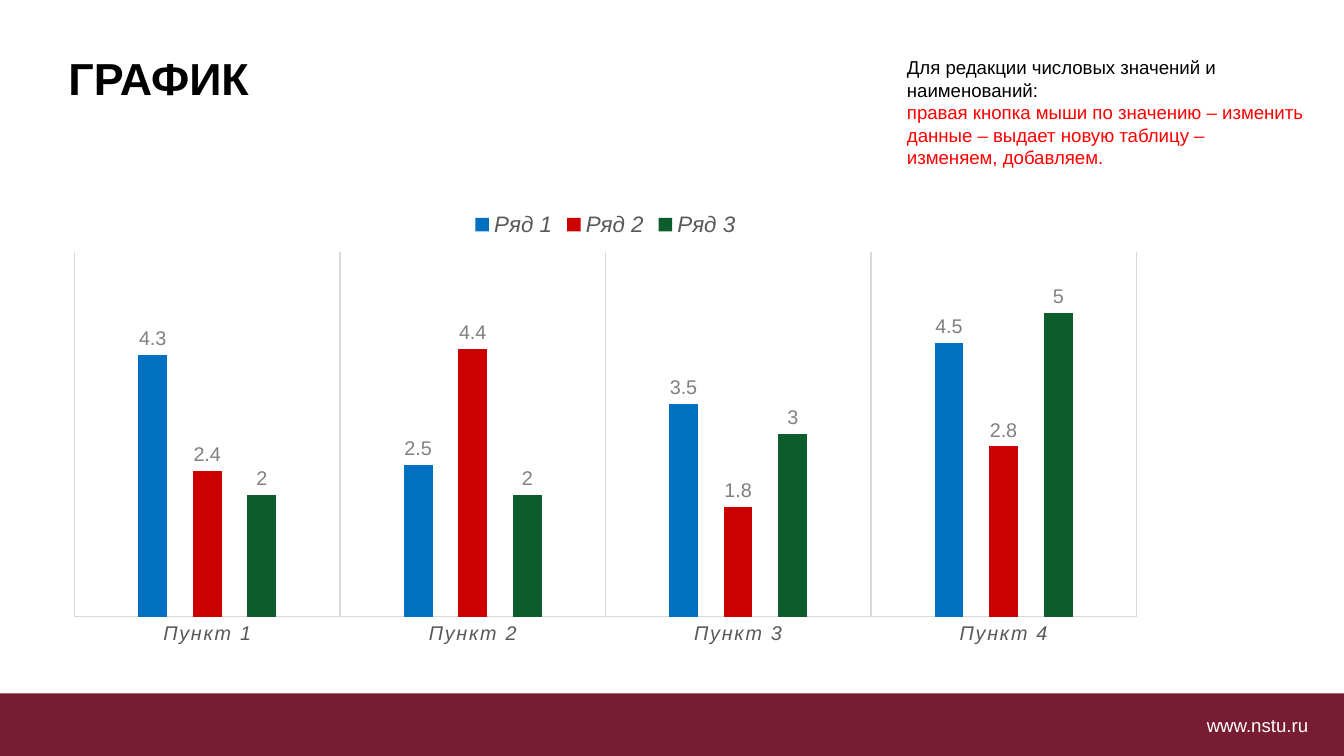
import pptx
import pptx.util
import pptx.dml.color
import pptx.chart.data
import pptx.enum.chart
import pptx.enum.shapes
import pptx.enum.text
import pptx.oxml
import pptx.oxml.ns

Inches = pptx.util.Inches
Pt = pptx.util.Pt
enum = pptx.enum.chart
qn = pptx.oxml.ns.qn

COLORS = {
    "wine": "781C33", "white": "FFFFFF", "black": "000000", "alert": "FF0000",
    "blue": "0070C0", "red": "CC0000", "green": "0C5C2C",
    "text": "595959", "value": "808080", "grid": "D9D9D9",
}


class Deck:
    face = "Arial"

    def __init__(self, width, height):
        self.show = pptx.Presentation()
        self.show.slide_width = Inches(width)
        self.show.slide_height = Inches(height)
        self.slide = self.show.slides.add_slide(self.show.slide_layouts[6])

    def color(self, name):
        return pptx.dml.color.RGBColor.from_string(COLORS[name])

    def font(self, font, size, color, bold=False, italic=False):
        font.name = self.face
        font.size = Pt(size)
        font.bold = bold
        font.italic = italic
        font.color.rgb = self.color(color)

    def fill(self, form, color):
        form.fill.solid()
        form.fill.fore_color.rgb = self.color(color)

    def line(self, line):
        line.color.rgb = self.color("grid")
        line.width = Pt(0.75)

    def band(self, box, color):
        shape = self.slide.shapes.add_shape(
            pptx.enum.shapes.MSO_SHAPE.RECTANGLE, *map(Inches, box))
        shape.shadow.inherit = False
        self.fill(shape, color)
        shape.line.fill.background()

    def text(self, box, parts, size, bold=False, inset=True, wrap=True):
        frame = self.slide.shapes.add_textbox(*map(Inches, box)).text_frame
        frame.word_wrap = wrap
        frame.auto_size = pptx.enum.text.MSO_AUTO_SIZE.NONE
        if not inset:
            frame.margin_left = frame.margin_right = 0
            frame.margin_top = frame.margin_bottom = 0
        for i, (words, color) in enumerate(parts):
            para = frame.add_paragraph() if i else frame.paragraphs[0]
            run = para.add_run()
            run.text = words
            self.font(run.font, size, color, bold)

    def chart(self, box, cats, rows, area):
        data = pptx.chart.data.CategoryChartData()
        data.categories = cats
        for name, values, _ in rows:
            data.add_series(name, values)
        chart = self.slide.shapes.add_chart(
            enum.XL_CHART_TYPE.COLUMN_CLUSTERED, *map(Inches, box), data).chart
        self.font(chart.font, 10, "black")
        chart.has_title = False
        chart.has_legend = True
        chart.legend.position = enum.XL_LEGEND_POSITION.TOP
        chart.legend.include_in_layout = False
        self.font(chart.legend.font, 12, "text", italic=True)

        axis = chart.category_axis
        axis.major_tick_mark = enum.XL_TICK_MARK.NONE
        axis.has_major_gridlines = True
        self.line(axis.format.line)
        self.line(axis.major_gridlines.format.line)
        self.font(axis.tick_labels.font, 10.6, "text", italic=True)
        for props in axis._element.iter(qn("a:defRPr")):
            props.set("spc", "100")

        scale = chart.value_axis
        scale.visible = False
        scale.has_major_gridlines = False
        scale.minimum_scale = 0
        scale.maximum_scale = 6

        plot = chart.plots[0]
        plot.gap_width = 444
        plot.overlap = -90
        plot.vary_by_categories = False
        for series, (_, _, color) in zip(plot.series, rows):
            self.fill(series.format, color)
            labels = series.data_labels
            labels.show_value = True
            labels.position = enum.XL_LABEL_POSITION.OUTSIDE_END
            self.font(labels.font, 10.6, "value")
        self.place(chart, area)

    def place(self, chart, area):
        modes = '<c:layoutTarget val="inner"/><c:xMode val="edge"/><c:yMode val="edge"/>'
        sizes = "".join(f'<c:{k} val="{v}"/>' for k, v in zip("xywh", area))
        space = pptx.oxml.ns.nsdecls("c")
        layout = pptx.oxml.parse_xml(
            f"<c:layout {space}><c:manualLayout>{modes}{sizes}</c:manualLayout></c:layout>")
        region = next(chart.element.iter(qn("c:plotArea")))
        for old in region.findall(qn("c:layout")):
            region.remove(old)
        region.insert(0, layout)


def main():
    deck = Deck(10, 10 * 9 / 16)
    deck.band((0, 5.16, 10, 0.47), "wine")
    deck.text((8.98, 5.31, 0.94, 0.16), [("www.nstu.ru", "white")], 10,
              inset=False, wrap=False)
    deck.chart(
        (0.39, 1.47, 8.23, 3.39),
        [f"Пункт {i}" for i in range(1, 5)],
        [("Ряд 1", (4.3, 2.5, 3.5, 4.5), "blue"),
         ("Ряд 2", (2.4, 4.4, 1.8, 2.8), "red"),
         ("Ряд 3", (2, 2, 3, 5), "green")],
        (0.02, 0.12, 0.96, 0.8))
    deck.text((6.65, 0.37, 3.27, 0.94), [
        ("Для редакции числовых значений и наименований:", "black"),
        ("правая кнопка мыши по значению – изменить данные – выдает новую таблицу –", "alert"),
        ("изменяем, добавляем.", "alert")], 10)
    deck.text((0.51, 0.38, 3.63, 0.78), [("ГРАФИК", "black")], 24,
              bold=True, inset=False)
    deck.show.save("out.pptx")


if __name__ == "__main__":
    main()
